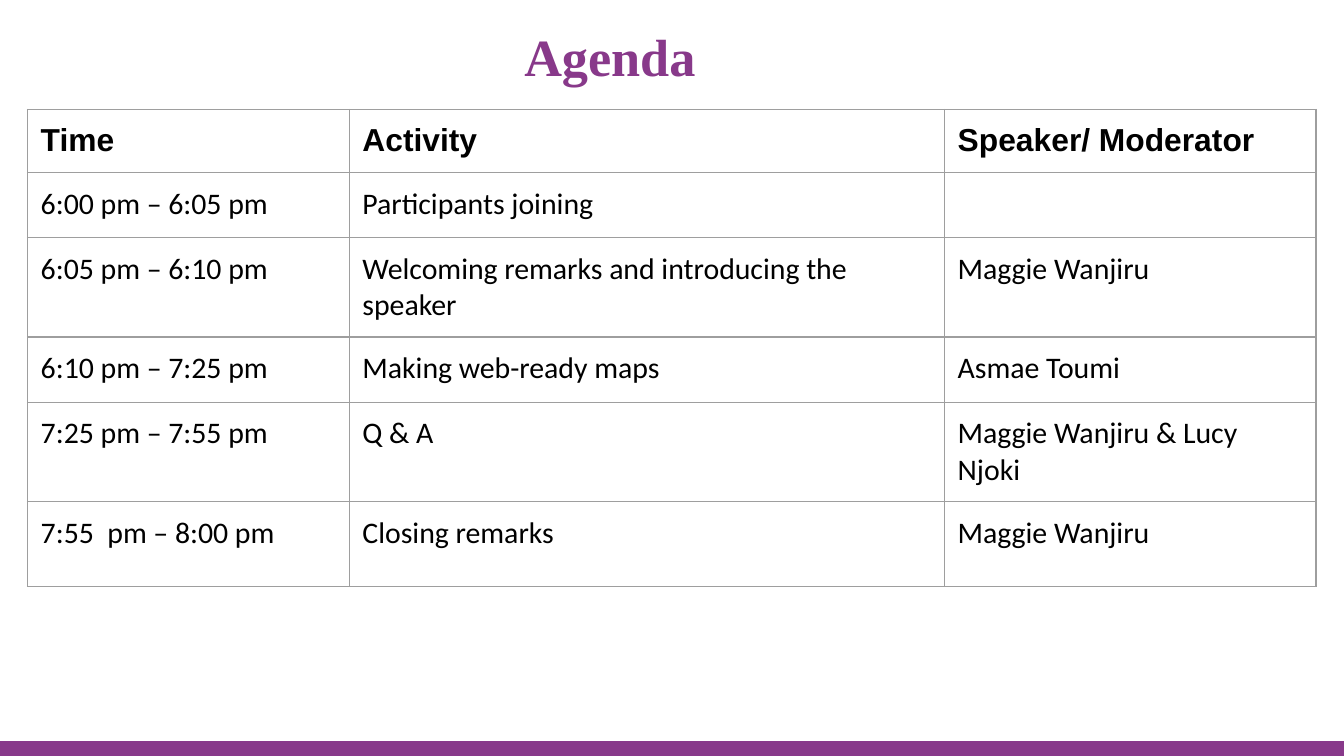
from lxml import etree
from pptx import Presentation
from pptx.dml.color import RGBColor
from pptx.enum import shapes, text
from pptx.oxml.ns import qn
from pptx.util import Cm, Pt

PURPLE, GREY, BLACK = "88398A", "9E9E9E", "000000"
TITLE = "Agenda"
HEADER = ("Time", "Activity", "Speaker/ Moderator")
AGENDA = [
    ("6:00 pm – 6:05 pm", "Participants joining", ""),
    ("6:05 pm – 6:10 pm", "Welcoming remarks and introducing the speaker", "Maggie Wanjiru"),
    ("6:10 pm – 7:25 pm", "Making web-ready maps", "Asmae Toumi"),
    ("7:25 pm – 7:55 pm", "Q & A", "Maggie Wanjiru & Lucy Njoki"),
    ("7:55  pm – 8:00 pm", "Closing remarks", "Maggie Wanjiru"),
]
COL_WIDTHS = (6.08, 11.25, 7.02)
ROW_HEIGHTS = (1.19, 1.23, 1.88, 1.23, 1.88, 1.6)
TITLE_FONT = dict(name="Times New Roman", size=Pt(28), bold=True)
HEADER_FONT = dict(name="Arial", size=Pt(17), bold=True)
BODY_FONT = dict(name="Calibri", size=Pt(16), bold=False)
INSETS = {f"margin_{side}": Cm(0.25) for side in ("left", "right", "top", "bottom")}


def rgb(value):
    return RGBColor.from_string(value)


def apply(obj, values):
    for name, value in values.items():
        setattr(obj, name, value)


def write(tf, content, font, color):
    p = tf.paragraphs[0]
    if content:
        r = p.add_run()
        r.text = content
        apply(r.font, font)
        r.font.color.rgb = rgb(color)
    else:
        etree.SubElement(p._p, qn("a:endParaRPr"), sz=str(int(font["size"].pt * 100)))
    return p


def add_borders(cell, color, width):
    tc_pr = cell._tc.get_or_add_tcPr()
    for i, side in enumerate(("L", "R", "T", "B")):
        ln = etree.Element(qn(f"a:ln{side}"), w=str(Pt(width)))
        fill = etree.SubElement(ln, qn("a:solidFill"))
        etree.SubElement(fill, qn("a:srgbClr"), val=color)
        tc_pr.insert(i, ln)


def add_title(s):
    sp = s.shapes.title
    apply(sp, dict(left=Cm(2.84), top=Cm(0.41), width=Cm(17.37), height=Cm(1.3)))
    tf = sp.text_frame
    apply(tf, dict(INSETS, word_wrap=True, auto_size=text.MSO_AUTO_SIZE.NONE,
                   vertical_anchor=text.MSO_ANCHOR.MIDDLE))
    write(tf, TITLE, TITLE_FONT, PURPLE).alignment = text.PP_ALIGN.CENTER


def add_agenda(s):
    rows = [HEADER, *AGENDA]
    table = s.shapes.add_table(len(rows), len(HEADER), Cm(0.52), Cm(2.07),
                               Cm(sum(COL_WIDTHS)), Cm(sum(ROW_HEIGHTS))).table
    apply(table, dict(first_row=False, horz_banding=False))
    for col, width in zip(table.columns, COL_WIDTHS):
        col.width = Cm(width)
    for i, (row, height) in enumerate(zip(table.rows, ROW_HEIGHTS)):
        row.height = Cm(height)
        for cell, content in zip(row.cells, rows[i]):
            apply(cell, INSETS)
            cell.fill.background()
            add_borders(cell, GREY, 0.75)
            write(cell.text_frame, content, BODY_FONT if i else HEADER_FONT, BLACK)


def add_footer_bar(s, prs):
    height = Cm(0.28)
    sp = s.shapes.add_shape(shapes.MSO_SHAPE.RECTANGLE, 0, prs.slide_height - height,
                            prs.slide_width, height)
    sp.shadow.inherit = False
    sp.fill.solid()
    sp.fill.fore_color.rgb = rgb(PURPLE)
    sp.line.fill.background()


def main():
    prs = Presentation()
    apply(prs, dict(slide_width=Cm(25.4), slide_height=Cm(14.29)))
    s = prs.slides.add_slide(prs.slide_layouts[5])
    add_footer_bar(s, prs)
    add_agenda(s)
    add_title(s)
    prs.save("out.pptx")


if __name__ == "__main__":
    main()
